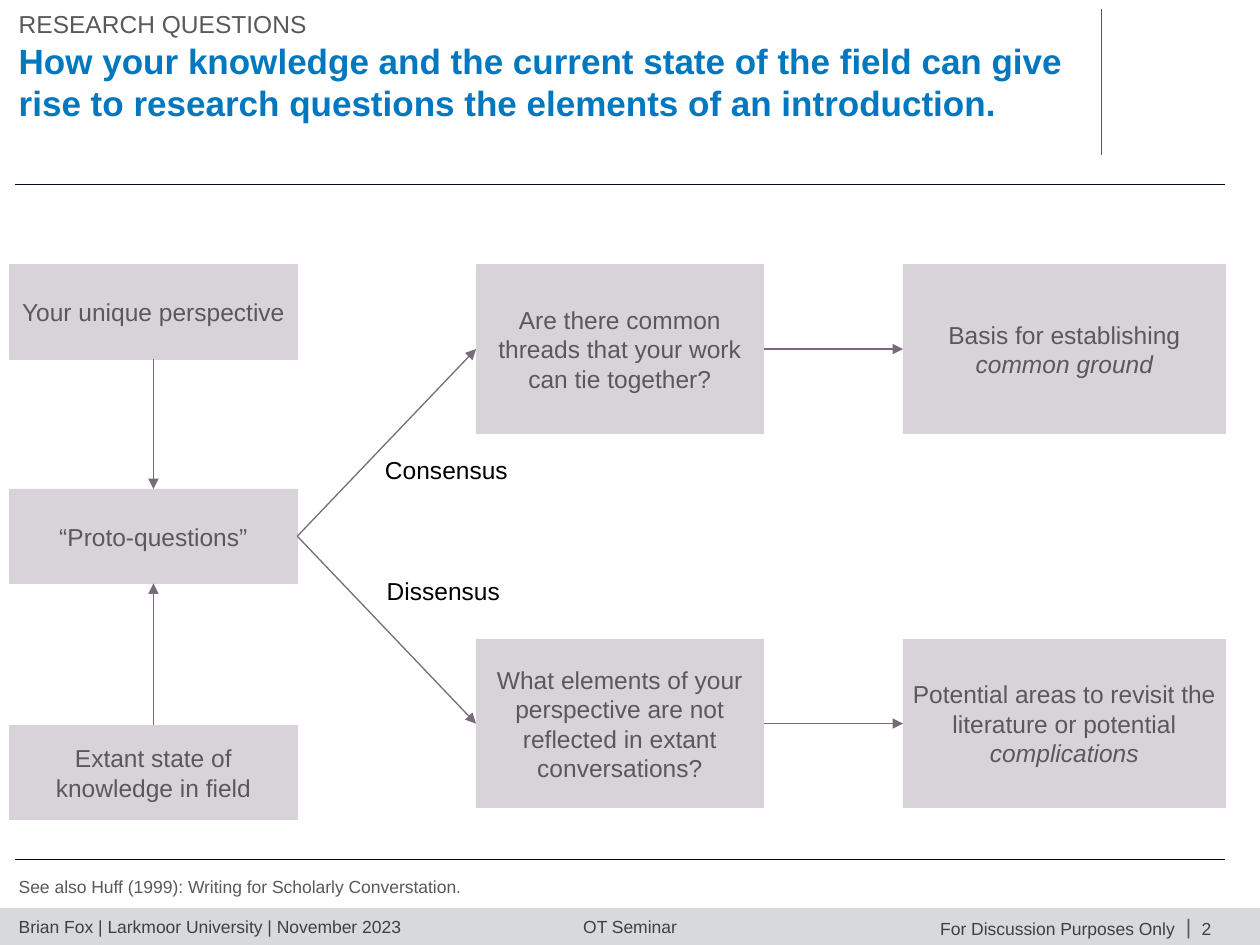
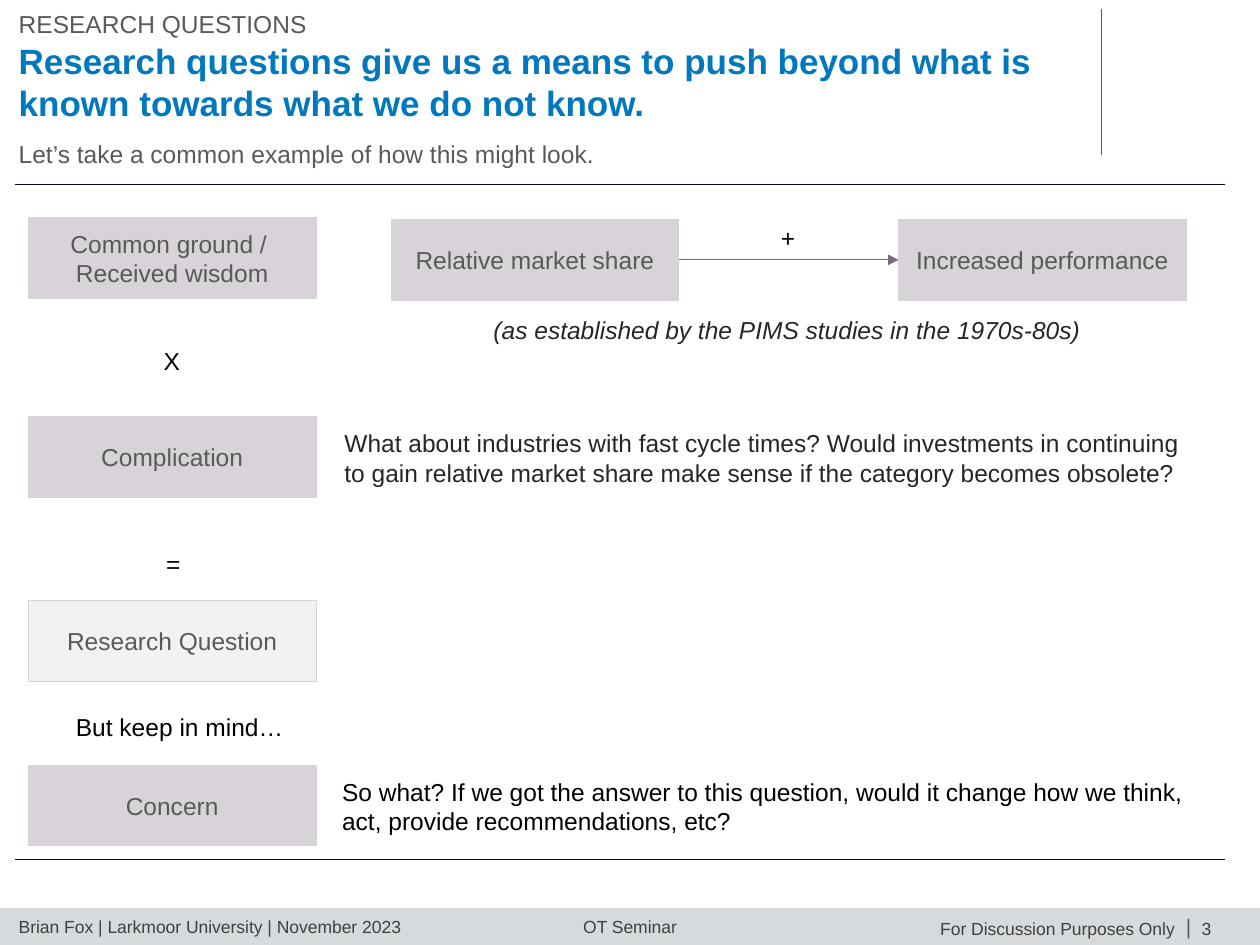
from dataclasses import dataclass

from lxml import etree
from pptx import Presentation
from pptx.dml.color import RGBColor
from pptx.enum import shapes as kinds
from pptx.enum import text as modes
from pptx.oxml.ns import qn
from pptx.util import Pt

FONT = "Arial"
BLUE, NAVY, MAUVE, PLUM = "0078BF", "000B24", "D8D3D9", "78697B"
BLACK, INK, DARK, GREY = "000000", "262626", "404040", "595959"
PALE, BAND, EDGE = "F2F2F2", "D6DADC", "D9D9D9"

LEFT, CENTER = modes.PP_ALIGN.LEFT, modes.PP_ALIGN.CENTER
TOP, MIDDLE = modes.MSO_ANCHOR.TOP, modes.MSO_ANCHOR.MIDDLE
# Connection sites of a rectangle
N_SIDE, W_SIDE, S_SIDE, E_SIDE = range(4)
PAGE_W, PAGE_H = 720, 540
MARGIN = 10.7
BOX_W = 164.4


@dataclass(frozen=True)
class Style:
    size: float = 14
    color: str = BLACK
    bold: bool = False
    italic: bool = False
    align: int = LEFT


@dataclass(frozen=True)
class Box:
    text: str
    x: float
    y: float
    h: float
    w: float = BOX_W
    fill: str = MAUVE
    tail: str = ""  # closing words in italics


@dataclass(frozen=True)
class Label:
    text: str
    x: float
    y: float
    w: float
    style: Style = Style()


@dataclass(frozen=True)
class Head:
    title: str
    note: str
    note_y: float
    note_size: float


BODY = Style(color=GREY)
TITLE = Style(20, BLUE, bold=True)
IN_BOX = Style(color=GREY, align=CENTER)
FOOT = Style(10, DARK)
FOOT_MID = Style(10, DARK, align=CENTER)

FOOTERS = (
    Label("Brian Fox | Larkmoor University | November 2023", MARGIN, 523.5, 212, FOOT),
    Label("OT Seminar", 333, 523.5, 54, FOOT_MID),
    Label("For Discussion Purposes Only", 536.7, 524.5, 135, FOOT_MID),
    Label("|", 677.7, 522.3, 3, Style(12, GREY)),
)


def rgb(code: str) -> RGBColor:
    return RGBColor.from_string(code)


def write(frame, words: str, style: Style, anchor=TOP, side: float = 0, wrap: bool = True) -> None:
    """Fill a text frame, one paragraph per line of words."""
    frame.margin_left = frame.margin_right = Pt(side)
    frame.margin_top = frame.margin_bottom = 0
    frame.auto_size = modes.MSO_AUTO_SIZE.NONE
    frame.word_wrap = wrap
    frame.vertical_anchor = anchor
    frame.text = words
    for para in frame.paragraphs:
        para.alignment = style.align
        para.space_before = Pt(0)
        font = para.font
        font.name, font.size = FONT, Pt(style.size)
        font.bold, font.italic = style.bold, style.italic
        font.color.rgb = rgb(style.color)


def place(shape, x: float, y: float, w: float, h: float) -> None:
    shape.left, shape.top, shape.width, shape.height = Pt(x), Pt(y), Pt(w), Pt(h)


def add_rect(slide, x: float, y: float, w: float, h: float, fill: str, edge: str, width: float):
    rect = slide.shapes.add_shape(kinds.MSO_SHAPE.RECTANGLE, Pt(x), Pt(y), Pt(w), Pt(h))
    rect.shadow.inherit = False
    rect.fill.solid()
    rect.fill.fore_color.rgb = rgb(fill)
    rect.line.color.rgb = rgb(edge)
    rect.line.width = Pt(width)
    return rect


def add_box(slide, box: Box):
    rect = add_rect(slide, box.x, box.y, box.w, box.h, box.fill, MAUVE, 0.5)
    write(rect.text_frame, box.text, IN_BOX, MIDDLE, side=3)
    if box.tail:
        run = rect.text_frame.paragraphs[-1].add_run()
        run.text = box.tail
        run.font.italic = True
    return rect


def add_label(slide, label: Label):
    high = label.style.size * 1.2 * (label.text.count("\n") + 1)
    area = slide.shapes.add_textbox(Pt(label.x), Pt(label.y), Pt(label.w), Pt(high))
    write(area.text_frame, label.text, label.style, wrap=False)
    return area


def add_line(slide, x1: float, y1: float, x2: float, y2: float, color: str):
    line = slide.shapes.add_connector(
        kinds.MSO_CONNECTOR.STRAIGHT, Pt(x1), Pt(y1), Pt(x2), Pt(y2))
    line.line.color.rgb = rgb(color)
    line.line.width = Pt(0.75)
    etree.SubElement(line.element.spPr, qn("a:effectLst"))
    return line


def link(slide, start, out: int, end, into: int) -> None:
    """Join two boxes with an arrow, from one side to another."""
    line = add_line(slide, 0, 0, 0, 0, PLUM)
    line.begin_connect(start, out)
    line.end_connect(end, into)
    stroke = line.element.spPr.find(qn("a:ln"))
    etree.SubElement(stroke, qn("a:tailEnd")).set("type", "triangle")


def add_number(slide, number: int) -> None:
    area = add_label(slide, Label(str(number), 686.7, 524.5, 12, FOOT))
    field = area.element.find(".//" + qn("a:r"))
    field.tag = qn("a:fld")
    field.set("id", "{B6F15528-21DE-4FAA-801E-634DDDAF4B2B}")
    field.set("type", "slidenum")


def add_page(deck, head: Head, number: int):
    """Add a slide with its heading, rules and footer."""
    slide = deck.slides.add_slide(deck.slide_layouts.get_by_name("Comparison"))
    spots = {spot.placeholder_format.idx: spot for spot in slide.placeholders}
    for idx in (2, 4):
        spare = spots[idx].element
        spare.getparent().remove(spare)

    add_rect(slide, 0, 519, PAGE_W, 21, BAND, EDGE, 0.25)
    for label in FOOTERS:
        add_label(slide, label)
    add_number(slide, number)
    add_line(slide, 629.3, 5, 629.3, 88.5, GREY)
    for y in (105.5, 491):
        add_line(slide, 8.5, y, 700, y, NAVY)

    place(spots[0], MARGIN, 22.8, 610, 48.5)
    write(spots[0].text_frame, head.title, TITLE)
    place(spots[1], MARGIN, 5.3, 610, 17)
    write(spots[1].text_frame, "RESEARCH QUESTIONS", BODY, MIDDLE)
    place(spots[3], MARGIN, head.note_y, 570, head.note_size * 1.2)
    write(spots[3].text_frame, head.note, Style(head.note_size, GREY))
    return slide


def add_flow(deck) -> None:
    slide = add_page(deck, Head(
        "How your knowledge and the current state of the field can give rise "
        "to research questions the elements of an introduction.",
        "See also Huff (1999): Writing for Scholarly Converstation.", 500.6, 10), 2)
    low, high = 54, 96.5
    left, mid, right, wide = 5.5, 272, 516, 184.5
    upper, lower = 151.2, 365.25

    view, proto, field = (
        add_box(slide, Box(words, left, y, low)) for words, y in (
            ("Your unique perspective", upper),
            ("“Proto-questions”", 279.4),
            ("Extant state of knowledge in field", 414.5)))
    link(slide, view, S_SIDE, proto, N_SIDE)
    link(slide, field, N_SIDE, proto, S_SIDE)

    branches = (
        (upper, "Are there common threads that your work can tie together?",
         "Basis for establishing ", "common ground"),
        (lower, "What elements of your perspective are not reflected in extant conversations?",
         "Potential areas to revisit the literature or potential ", "complications"),
    )
    for y, query, result, tail in branches:
        ask = add_box(slide, Box(query, mid, y, high))
        goal = add_box(slide, Box(result, right, y, high, wide, tail=tail))
        link(slide, proto, E_SIDE, ask, W_SIDE)
        link(slide, ask, E_SIDE, goal, W_SIDE)
    add_label(slide, Label("Consensus", 220, 260.2, 71))
    add_label(slide, Label("Dissensus", 221, 329.2, 65))


def add_example(deck) -> None:
    slide = add_page(deck, Head(
        "Research questions give us a means to push beyond what is known "
        "towards what we do not know.",
        "Let’s take a common example of how this might look.", 79.6, 14), 3)
    left, high = 16.2, 46

    for words, y, fill in (
            ("Common ground / \nReceived wisdom", 124.5, MAUVE),
            ("Complication", 238, MAUVE),
            ("Research Question", 343.2, PALE),
            ("Concern", 437.25, MAUVE)):
        add_box(slide, Box(words, left, y, high, fill=fill))
    share, gain = (
        add_box(slide, Box(words, x, 125.5, high)) for words, x in (
            ("Relative market share", 223.5), ("Increased performance", 513.5)))
    link(slide, share, E_SIDE, gain, W_SIDE)

    for label in (
            Label("+", 446.3, 127.7, 8),
            Label("(as established by the PIMS studies in the 1970s-80s)", 282, 180, 337,
                  Style(color=INK, italic=True)),
            Label("X", 93.5, 197.7, 9.5),
            Label("What about industries with fast cycle times? Would investments in continuing\n"
                  "to gain relative market share make sense if the category becomes obsolete?",
                  196.8, 244.7, 487, Style(color=INK)),
            Label("=", 95, 314, 8),
            Label("But keep in mind…", 43.4, 407, 119),
            Label("So what? If we got the answer to this question, would it change how we think,\n"
                  "act, provide recommendations, etc?", 195.5, 444, 482)):
        add_label(slide, label)


def main() -> None:
    deck = Presentation()
    deck.slide_width, deck.slide_height = Pt(PAGE_W), Pt(PAGE_H)
    deck.element.set("firstSlideNum", "2")
    add_flow(deck)
    add_example(deck)
    deck.save("out.pptx")


if __name__ == "__main__":
    main()
